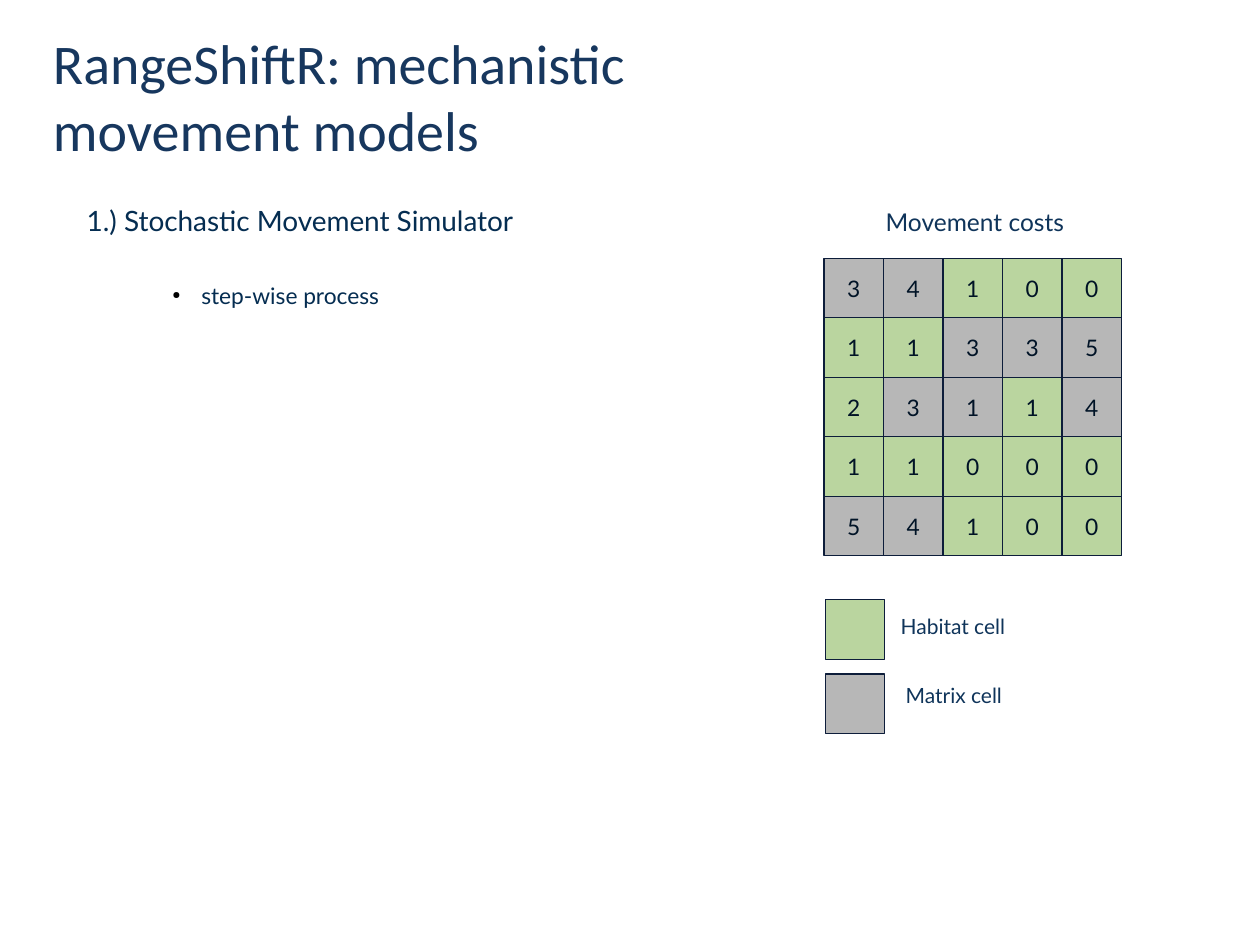
from lxml.etree import SubElement
from pptx import Presentation
from pptx.dml.color import RGBColor
from pptx.enum.shapes import MSO_SHAPE
from pptx.enum.text import MSO_ANCHOR, MSO_AUTO_SIZE, PP_ALIGN
from pptx.oxml.ns import qn
from pptx.util import Inches, Pt

TITLE_BLUE = RGBColor(0x17, 0x37, 0x5E)
BODY_BLUE = RGBColor(0x05, 0x2D, 0x51)
LABEL_BLUE = RGBColor(0x0F, 0x34, 0x5A)
CELL_TEXT = RGBColor(0x00, 0x13, 0x26)
CELL_LINE = RGBColor(0x0D, 0x1D, 0x3A)
HABITAT = RGBColor(0x9D, 0xC4, 0x77)
MATRIX = RGBColor(0x99, 0x99, 0x99)

CELL = Inches(2.36) // 5

deck = Presentation()
deck.slide_width, deck.slide_height = Inches(10), Inches(7.5)
page = deck.slides.add_slide(deck.slide_layouts[5])


def add_label(left, top, width, height, text, size, color):
    box = page.shapes.add_textbox(Inches(left), Inches(top), Inches(width), Inches(height))
    box.text_frame.word_wrap = True
    para = box.text_frame.paragraphs[0]
    span = para.add_run()
    span.text = text
    span.font.name, span.font.size = "Lato", Pt(size)
    span.font.color.rgb = color
    return para


def add_cell(left, top, color):
    cell = page.shapes.add_shape(MSO_SHAPE.RECTANGLE, left, top, CELL, CELL)
    cell.shadow.inherit = False
    cell.fill.solid()
    cell.fill.fore_color.rgb = color
    color_element = cell.fill._xPr.find(qn("a:solidFill"))[0]
    SubElement(color_element, qn("a:alpha"), val="70000")
    cell.line.color.rgb = CELL_LINE
    cell.line.width = Pt(0.75)
    return cell


title = page.shapes.title
title.left, title.top = Inches(0.42), Inches(0.38)
title.width, title.height = Inches(4.97), Inches(0.76)
frame = title.text_frame
frame.word_wrap = True
frame.auto_size = MSO_AUTO_SIZE.NONE
frame.vertical_anchor = MSO_ANCHOR.MIDDLE
frame.margin_left = frame.margin_right = frame.margin_top = frame.margin_bottom = 0
for index, line in enumerate(["RangeShiftR: mechanistic", "movement models"]):
    para = frame.add_paragraph() if index else frame.paragraphs[0]
    para.alignment = PP_ALIGN.LEFT
    para.space_before = Pt(0)
    span = para.add_run()
    span.text = line
    span.font.name, span.font.size = "Calibri", Pt(32)
    span.font.color.rgb = TITLE_BLUE

add_label(0.59, 1.57, 3.74, 0.36, "1.) Stochastic Movement Simulator", 16, BODY_BLUE)
add_label(6.93, 1.59, 1.73, 0.37, "Movement costs", 14, LABEL_BLUE)

step = add_label(1.26, 2.19, 3.74, 0.31, "step-wise process", 13, BODY_BLUE)
properties = step._p.get_or_add_pPr()
properties.set("marL", str(Inches(0.24)))
properties.set("indent", str(Inches(-0.23)))
bullet_color = SubElement(properties, qn("a:buClr"))
SubElement(bullet_color, qn("a:srgbClr"), val="000000")
SubElement(properties, qn("a:buSzPct"), val="45000")
SubElement(properties, qn("a:buChar"), char="●")

costs = ["34100", "11335", "23114", "11000", "54100"]
habitats = ["MMHHH", "HHMMM", "HMMHM", "HHHHH", "MMHHH"]
for row, (cost_row, habitat_row) in enumerate(zip(costs, habitats)):
    for column, (cost, kind) in enumerate(zip(cost_row, habitat_row)):
        cell = add_cell(Inches(6.54) + column * CELL, Inches(2.05) + row * CELL,
                        HABITAT if kind == "H" else MATRIX)
        cell.text_frame.word_wrap = False
        cell.text_frame.vertical_anchor = MSO_ANCHOR.MIDDLE
        para = cell.text_frame.paragraphs[0]
        para.alignment = PP_ALIGN.CENTER
        span = para.add_run()
        span.text = cost
        span.font.name, span.font.size = "Lato", Pt(13)
        span.font.color.rgb = CELL_TEXT

legend = [
    (4.76, HABITAT, "Habitat cell", 7.05, 4.82, 1.61),
    (5.35, MATRIX, "Matrix cell", 7.09, 5.37, 1.57),
]
for key_top, color, name, left, top, width in legend:
    add_cell(Inches(6.55), Inches(key_top), color)
    add_label(left, top, width, 0.34, name, 12, LABEL_BLUE)

deck.save("out.pptx")
